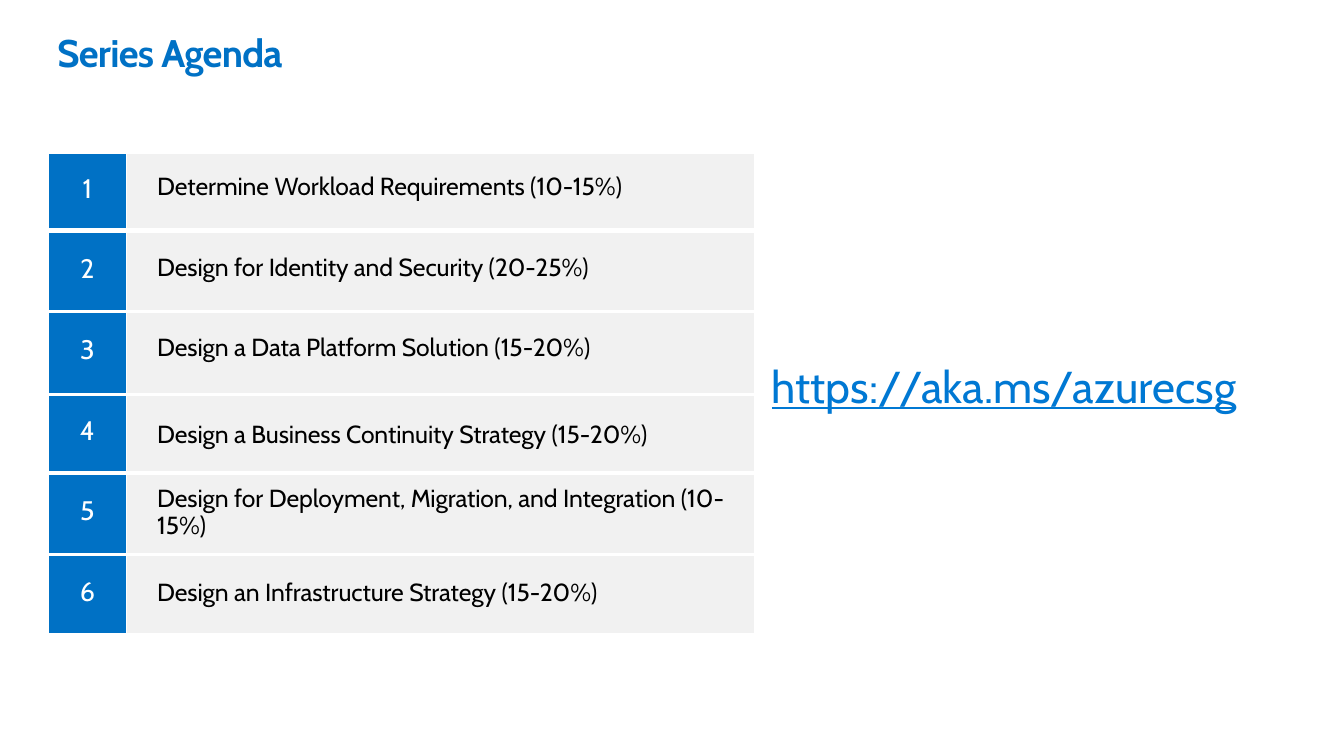
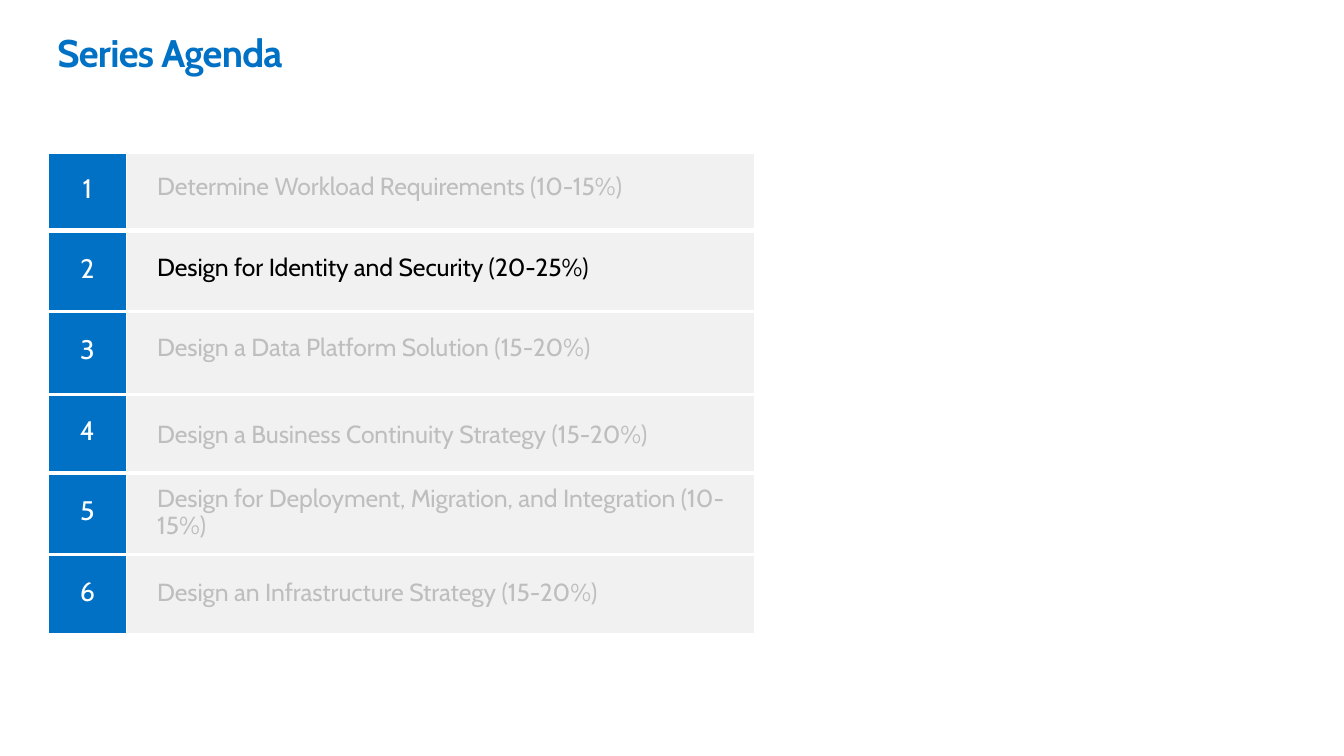
from dataclasses import dataclass
from typing import Optional

import lxml.etree
import pptx
import pptx.dml.color
import pptx.enum.text
import pptx.oxml.ns
import pptx.util

# Slide grid: square cells, ten to the inch
COLUMNS, ROWS = 136, 76.5
COLORS = {
    "brand": "0071C5",
    "link": "0078D3",
    "band": "F1F1F1",
    "white": "FFFFFF",
    "active": "000000",
    "muted": "BEBEBE",
}
FONT = "Cabin"

TABLE_LEFT, TABLE_TOP = 4.9, 15.4
NUMBER_WIDTH, TOPIC_WIDTH = 7.9, 63.6
TOPIC_INDENT = 3.1
TOP_RULE, COLUMN_RULE = 2.25, 1


@dataclass(frozen=True)
class TextStyle:
    size: float
    color: str
    bold: bool = False
    underline: bool = False
    spacing: int = 0  # hundredths of a point


@dataclass(frozen=True)
class Caption:
    text: str
    left: float
    top: float
    width: float
    height: float
    style: TextStyle


@dataclass(frozen=True)
class Topic:
    text: str
    height: float
    number_inset: float
    text_inset: float
    rule_below: float = 2.25
    line_spacing: Optional[float] = None


@dataclass(frozen=True)
class Agenda:
    highlighted: Optional[int] = None  # None keeps every topic active
    link: Optional[Caption] = None


TITLE = Caption("Series Agenda", 5.8, 2.9, 24.6, 4.9,
                TextStyle(28, "brand", bold=True, spacing=-50))
STUDY_LINK = Caption("https://aka.ms/azurecsg", 78.1, 36.3, 47.9, 5.7,
                     TextStyle(32.5, "link", underline=True))
NUMBER_STYLE = TextStyle(19.5, "white")

TOPICS = [
    Topic("Determine Workload Requirements (10-15%)", 7.9, 2.1, 2.0, 4.25),
    Topic("Design for Identity and Security (20-25%)", 8.2, 2.3, 2.3),
    Topic("Design a Data Platform Solution (15-20%)", 8.4, 2.3, 2.2),
    Topic("Design a Business Continuity Strategy (15-20%)", 8.0, 2.1, 2.6, 3),
    Topic("Design for Deployment, Migration, and Integration (10-15%)",
          8.2, 2.2, 1.4, line_spacing=19.4),
    Topic("Design an Infrastructure Strategy (15-20%)", 8.0, 2.2, 2.4, 0),
]
AGENDAS = [Agenda(link=STUDY_LINK), Agenda(highlighted=2)]


def cells(count: float) -> int:
    return pptx.util.Inches(round(count / 10, 2))


def rgb(name: str) -> pptx.dml.color.RGBColor:
    return pptx.dml.color.RGBColor.from_string(COLORS[name])


def write(frame, text: str, style: TextStyle):
    """Set one paragraph of text and return it for further layout."""
    frame.text = text
    paragraph = frame.paragraphs[0]
    for run in paragraph.runs:
        run.font.name = FONT
        run.font.size = pptx.util.Pt(style.size)
        run.font.bold = style.bold
        run.font.underline = style.underline
        run.font.color.rgb = rgb(style.color)
        if style.spacing:
            run.font._element.set("spc", str(style.spacing))
    return paragraph


def add_caption(slide, caption: Caption) -> None:
    box = slide.shapes.add_textbox(cells(caption.left), cells(caption.top),
                                   cells(caption.width), cells(caption.height))
    frame = box.text_frame
    frame.margin_left = frame.margin_right = 0
    frame.margin_top = frame.margin_bottom = 0
    frame.word_wrap = False
    write(frame, caption.text, caption.style)


def add_rules(cell, rules: dict[str, float]) -> None:
    """Draw white cell borders; sides come in the order L, R, T, B."""
    properties = cell._tc.get_or_add_tcPr()
    for position, (side, width) in enumerate(rules.items()):
        line = lxml.etree.Element(pptx.oxml.ns.qn(f"a:ln{side}"),
                                  w=str(int(pptx.util.Pt(width))))
        if width:
            fill = lxml.etree.SubElement(line, pptx.oxml.ns.qn("a:solidFill"))
            lxml.etree.SubElement(fill, pptx.oxml.ns.qn("a:srgbClr"),
                                  val=COLORS["white"])
        else:
            lxml.etree.SubElement(line, pptx.oxml.ns.qn("a:noFill"))
        properties.insert(position, line)


def format_cell(cell, fill: str, inset: float, rules: dict[str, float],
                indent: float = 0) -> None:
    cell.fill.solid()
    cell.fill.fore_color.rgb = rgb(fill)
    cell.margin_left, cell.margin_top = cells(indent), cells(inset)
    cell.margin_right = cell.margin_bottom = 0
    cell.vertical_anchor = pptx.enum.text.MSO_ANCHOR.TOP
    add_rules(cell, rules)


def add_topics(slide, highlighted: Optional[int]) -> None:
    height = sum(topic.height for topic in TOPICS)
    table = slide.shapes.add_table(
        len(TOPICS), 2, cells(TABLE_LEFT), cells(TABLE_TOP),
        cells(NUMBER_WIDTH + TOPIC_WIDTH), cells(height)).table
    table.first_row = table.horz_banding = False
    for column, width in zip(table.columns, (NUMBER_WIDTH, TOPIC_WIDTH)):
        column.width = cells(width)

    rule_above = TOP_RULE
    for number, (row, topic) in enumerate(zip(table.rows, TOPICS), start=1):
        row.height = cells(topic.height)
        number_cell, topic_cell = row.cells
        row_rules = {"T": rule_above, "B": topic.rule_below}

        # Number on the brand colour
        format_cell(number_cell, "brand", topic.number_inset,
                    {"R": COLUMN_RULE, **row_rules})
        label = write(number_cell.text_frame, str(number), NUMBER_STYLE)
        label.alignment = pptx.enum.text.PP_ALIGN.CENTER

        # Topic on the grey band
        format_cell(topic_cell, "band", topic.text_inset,
                    {"L": COLUMN_RULE, **row_rules}, TOPIC_INDENT)
        color = "active" if highlighted in (None, number) else "muted"
        description = write(topic_cell.text_frame, topic.text,
                            TextStyle(18, color, spacing=-5))
        if topic.line_spacing:
            description.line_spacing = pptx.util.Pt(topic.line_spacing)
        rule_above = topic.rule_below


def main() -> None:
    deck = pptx.Presentation()
    deck.slide_width, deck.slide_height = cells(COLUMNS), cells(ROWS)
    blank = deck.slide_layouts[6]
    for agenda in AGENDAS:
        slide = deck.slides.add_slide(blank)
        add_caption(slide, TITLE)
        if agenda.link:
            add_caption(slide, agenda.link)
        add_topics(slide, agenda.highlighted)
    deck.save("out.pptx")


if __name__ == "__main__":
    main()
